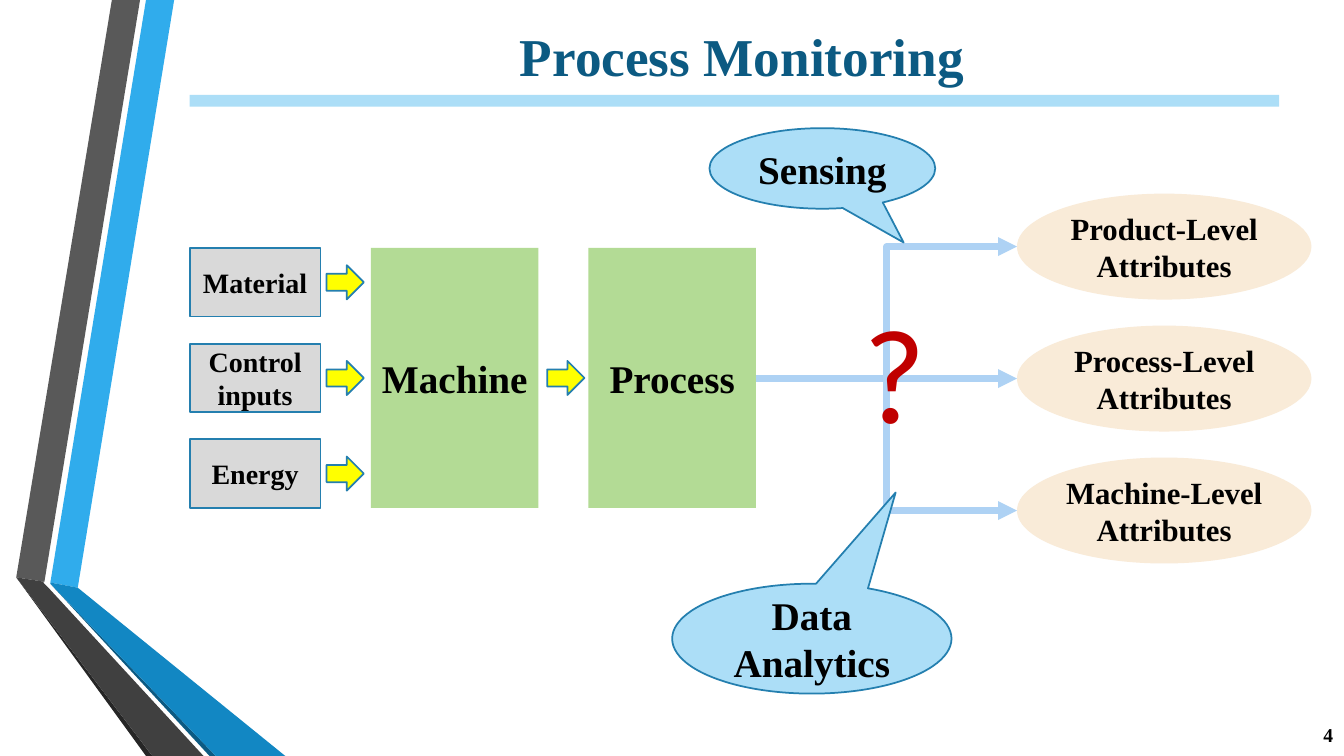
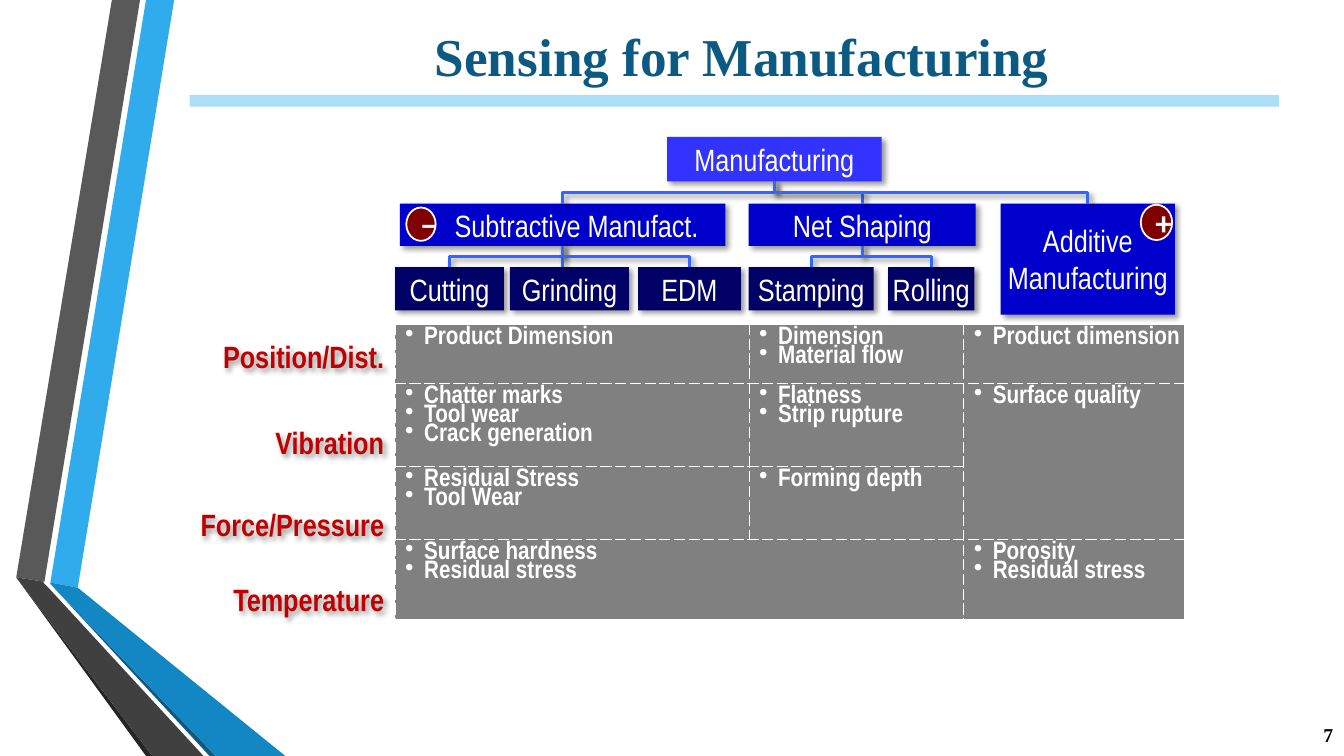
from lxml import etree
from pptx import Presentation
from pptx.dml.color import RGBColor
from pptx.enum.shapes import MSO_CONNECTOR, MSO_SHAPE
from pptx.enum.text import MSO_ANCHOR, PP_ALIGN
from pptx.oxml.ns import qn
from pptx.util import Cm, Pt

RECT, OVAL = MSO_SHAPE.RECTANGLE, MSO_SHAPE.OVAL
ARROW, CALLOUT = MSO_SHAPE.RIGHT_ARROW, MSO_SHAPE.OVAL_CALLOUT
ELBOW, STRAIGHT = MSO_CONNECTOR.ELBOW, MSO_CONNECTOR.STRAIGHT
LEFT, CENTER, RIGHT = PP_ALIGN.LEFT, PP_ALIGN.CENTER, PP_ALIGN.RIGHT
TOP, MIDDLE = MSO_ANCHOR.TOP, MSO_ANCHOR.MIDDLE

SERIF, NARROW, SANS = "Times New Roman", "Arial Narrow", "Calibri"
COLORS = {
    "title": "0C5A82", "rule": "ACDEF7", "outline": "247FAF",
    "sky": "30ACEC", "ocean": "1287C3", "ash": "595959",
    "coal": "404040", "soot": "262626",
    "black": "000000", "white": "FFFFFF", "red": "C00000",
    "input": "D9D9D9", "stage": "B3DB95", "arrow": "FFFF00",
    "outcome": "F9EBD8", "flow": "AED2F4",
    "root": "3333FF", "branch": "0000CC", "leaf": "000066",
    "tree_line": "3366FF", "badge": "800000", "cell": "808080",
}
RIBBONS = [
    ("sky", [(1.27, 14.68), (1.96, 14.81), (4.39, 0), (3.68, 0)]),
    ("ash", [(3.53, 0), (2.82, 0), (0.41, 14.55), (1.12, 14.66)]),
    ("soot", [(0.41, 14.55), (3.68, 19.05), (3.84, 19.05)]),
    ("title", [(1.27, 14.71), (5.28, 19.05), (5.44, 19.05)]),
    ("ocean", [(1.27, 14.68), (1.27, 14.71), (5.44, 19.05),
               (7.19, 19.05), (1.96, 14.81)]),
    ("coal", [(5.13, 19.05), (1.22, 14.81), (1.09, 14.68),
              (1.12, 14.66), (0.41, 14.55), (3.84, 19.05)]),
]


def rgb(name):
    return RGBColor.from_string(COLORS[name])


def cm(*values):
    return [Cm(v) for v in values]


def write(tf, text, size=22, font=SERIF, color="black", bold=True,
          align=CENTER, anchor=MIDDLE, ins=(0.25, 0.25)):
    tf.word_wrap = True
    tf.vertical_anchor = anchor
    tf.margin_left, tf.margin_right = cm(*ins)
    tf.margin_top = tf.margin_bottom = Cm(0.13)
    p = tf.paragraphs[0]
    p.alignment = align
    add_run(p, text, size, font, color, bold)


def add_run(p, text, size, font, color, bold):
    r = p.add_run()
    r.text = text
    r.font.size = Pt(size)
    r.font.name = font
    r.font.bold = bold
    r.font.color.rgb = rgb(color)


def set_effects(sp, shadow=False):
    effects = etree.SubElement(sp.element.spPr, qn("a:effectLst"))
    if shadow:
        outer = etree.SubElement(effects, qn("a:outerShdw"), blurRad="50800",
                                 dist="38100", dir="2700000", algn="tl",
                                 rotWithShape="0")
        black = etree.SubElement(outer, qn("a:srgbClr"), val=COLORS["black"])
        etree.SubElement(black, qn("a:alpha"), val="40000")


def paint(sp, fill, line=None, shadow=False):
    sp.fill.solid()
    sp.fill.fore_color.rgb = rgb(fill)
    if line:
        sp.line.color.rgb = rgb(line)
        sp.line.width = Pt(1.25)
    else:
        sp.line.fill.background()
    set_effects(sp, shadow)


def add_box(s, kind, box, fill, line=None, shadow=False, text=None, **fmt):
    sp = s.shapes.add_shape(kind, *cm(*box))
    paint(sp, fill, line, shadow)
    if text:
        write(sp.text_frame, text, **fmt)
    return sp


def add_label(s, box, text, shadow=False, **fmt):
    sp = s.shapes.add_textbox(*cm(*box))
    if shadow:
        set_effects(sp, shadow)
    write(sp.text_frame, text, **fmt)


def add_line(s, kind, ends, color, width, shadow=False, head=False):
    c = s.shapes.add_connector(kind, *cm(*ends))
    c.line.color.rgb = rgb(color)
    c.line.width = Pt(width)
    if head:
        etree.SubElement(c.element.spPr.find(qn("a:ln")), qn("a:tailEnd"),
                         type="triangle")
    set_effects(c, shadow)
    return c


def add_drop(s, x1, y1, x2, y2):
    style = dict(color="tree_line", width=2.25, shadow=True)
    if abs(x2 - x1) < 0.3:
        add_line(s, STRAIGHT, (x1, y1, x1, y2), **style)
        return
    side = 1 if x2 < x1 else -1
    mx, my = (x1 + x2) / 2, (y1 + y2) / 2
    dx, dy = side * (y2 - y1) / 2, abs(x2 - x1) / 2
    c = add_line(s, ELBOW, (mx - dx, my - dy, mx + dx, my + dy), **style)
    turn = 90 if side == 1 else 270
    c.element.spPr.find(qn("a:xfrm")).set("rot", str(turn * 60000))


def decorate_layout(layout, s):
    parts = []
    for color, points in RIBBONS:
        points = [cm(*point) for point in points]
        builder = s.shapes.build_freeform(*points[0])
        builder.add_line_segments(points[1:], close=True)
        sp = builder.convert_to_shape()
        paint(sp, color)
        parts.append(sp)
    parts.append(add_box(s, RECT, (4.78, 2.39, 27.46, 0.3), "rule"))
    for i, sp in enumerate(parts):
        layout.element.cSld.spTree.insert(2 + i, sp.element)


def add_heading(s, title, number):
    sp = s.shapes.title
    sp.left, sp.top, sp.width, sp.height = cm(4.78, 0.53, 27.84, 1.73)
    write(sp.text_frame, title, size=38, color="title")
    add_label(s, (32.33, 18.01, 1.52, 1.02), number, size=14, align=RIGHT)


def add_stages(s, x, y, w, h):
    in_w, in_h, stage_w = 3.3, 1.73, 4.22
    arrow_w, arrow_h = 0.94, 0.86
    inputs = ["Material", "Control inputs", "Energy"]
    pitch = (h - in_h) / (len(inputs) - 1)
    arrows = [(x + 9.01, y + h / 2)]
    for i, text in enumerate(inputs):
        top = y + i * pitch
        add_box(s, RECT, (x, top, in_w, in_h), "input", "outline",
                text=text, size=20)
        arrows.append((x + 3.45, top + in_h / 2))
    for left, text in [(x + 4.57, "Machine"), (x + w - stage_w, "Process")]:
        add_box(s, RECT, (left, y, stage_w, h), "stage", text=text, size=28,
                ins=(0, 0))
    for left, mid in arrows:
        add_box(s, ARROW, (left, mid - arrow_h / 2, arrow_w, arrow_h),
                "arrow", "outline")


def add_outcomes(s, x, y, w, h):
    oval_w, oval_h = 7.42, 2.67
    levels = ["Product", "Process", "Machine"]
    pitch = (h - oval_h) / (len(levels) - 1)
    left, start = x + w - oval_w, y + h / 2
    for i, level in enumerate(levels):
        top = y + i * pitch
        add_box(s, OVAL, (left, top, oval_w, oval_h), "outcome",
                text=f"{level}-Level Attributes", ins=(0, 0))
        kind = STRAIGHT if i == 1 else ELBOW
        add_line(s, kind, (x, start, left, top + oval_h / 2), "flow", 4.5,
                 head=True)
    add_label(s, (x + 2.46, y + 2.28, 6.27, 4.37), "?", size=96, font=SANS,
              color="red", bold=False, align=LEFT, anchor=TOP)


def add_callout(s, box, text, tip):
    sp = add_box(s, CALLOUT, box, "rule", "outline", text=text, size=28)
    for i, value in enumerate(tip):
        sp.adjustments[i] = value


def add_tree(s, x, y):
    nodes = [
        ("Manufacturing", None, "root", 6.85, 0, 5.41, 1.12),
        ("Subtractive Manufact.", "Manufacturing", "branch", 0.12, 1.68, 8.2, 1.07),
        ("Net Shaping", "Manufacturing", "branch", 8.91, 1.68, 5.72, 1.07),
        ("Additive Manufacturing", "Manufacturing", "branch", 15.26, 1.68, 4.39, 2.8),
        ("Cutting", "Subtractive Manufact.", "leaf", 0, 3.28, 2.74, 1.09),
        ("Grinding", "Subtractive Manufact.", "leaf", 2.89, 3.28, 3, 1.09),
        ("EDM", "Subtractive Manufact.", "leaf", 6.12, 3.28, 2.59, 1.09),
        ("Stamping", "Net Shaping", "leaf", 8.91, 3.28, 3.15, 1.09),
        ("Rolling", "Net Shaping", "leaf", 12.42, 3.28, 2.18, 1.09),
    ]
    bottoms = {}
    for text, parent, fill, dx, dy, w, h in nodes:
        left, top = x + dx, y + dy
        pad = 0.7 if text.startswith("Subtractive") else 0
        add_box(s, RECT, (left, top, w, h), fill, shadow=True, text=text,
                font=NARROW, color="white", bold=False, ins=(pad, 0))
        bottoms[text] = (left + w / 2, top + h)
        if parent:
            add_drop(s, *bottoms[parent], left + w / 2, top)
    for sign, dx, dy, w, h in [("−", 0.28, 1.78, 0.74, 0.84),
                               ("+", 18.79, 1.71, 0.79, 0.89)]:
        add_box(s, OVAL, (x + dx, y + dy, w, h), "badge", "white", text=sign,
                size=24, font=SANS, color="white")


def fill_cell(cell, lines):
    cell.fill.solid()
    cell.fill.fore_color.rgb = rgb("cell")
    cell.margin_left, cell.margin_right = cm(0.25, 0)
    cell.margin_top = cell.margin_bottom = Cm(0.13)
    tf = cell.text_frame
    for i, text in enumerate(lines):
        p = tf.paragraphs[0] if i == 0 else tf.add_paragraph()
        pPr = p._p.get_or_add_pPr()
        pPr.set("marL", str(Cm(0.48)))
        pPr.set("indent", str(-Cm(0.48)))
        etree.SubElement(pPr, qn("a:buChar"), char="•")
        p.line_spacing = 0.8
        add_run(p, text, 18, NARROW, "white", True)
    tcPr = cell._tc.get_or_add_tcPr()
    for i, side in enumerate(["lnL", "lnR", "lnT", "lnB"]):
        ln = etree.Element(qn(f"a:{side}"), w=str(Pt(1)))
        solid = etree.SubElement(ln, qn("a:solidFill"))
        etree.SubElement(solid, qn("a:srgbClr"), val=COLORS["white"])
        etree.SubElement(ln, qn("a:prstDash"), val="sysDash")
        tcPr.insert(i, ln)


def add_signals(s, x, y):
    widths, heights = [8.92, 5.41, 5.56], [1.45, 2.05, 1.84, 2.01]
    rows = [
        [["Product Dimension"], ["Dimension", "Material flow"],
         ["Product dimension"]],
        [["Chatter marks", "Tool wear", "Crack generation"],
         ["Flatness", "Strip rupture"], ["Surface quality"]],
        [["Residual Stress", "Tool Wear"], ["Forming depth"], []],
        [["Surface hardness", "Residual stress"], [],
         ["Porosity", "Residual stress"]],
    ]
    table = s.shapes.add_table(len(rows), len(widths),
                               *cm(x, y, sum(widths), sum(heights))).table
    table.first_row = table.horz_banding = False
    for column, width in zip(table.columns, widths):
        column.width = Cm(width)
    for i, row in enumerate(rows):
        table.rows[i].height = Cm(heights[i])
        for j, lines in enumerate(row):
            fill_cell(table.cell(i, j), lines)
    table.cell(1, 2).merge(table.cell(2, 2))
    table.cell(3, 0).merge(table.cell(3, 1))


def add_row_labels(s, x, y, w):
    for dy, text in [(0, "Position/Dist."), (2.16, "Vibration"),
                     (4.24, "Force/Pressure"), (6.12, "Temperature")]:
        add_label(s, (x, y + dy, w, 1.14), text, shadow=True, font=NARROW,
                  color="red", align=RIGHT, ins=(0, 0))


def build_monitoring(s):
    add_heading(s, "Process Monitoring", "4")
    add_stages(s, 4.78, 6.25, 14.27, 6.55)
    add_outcomes(s, 19.05, 4.88, 14, 9.32)
    add_callout(s, (17.88, 3.23, 5.69, 2.03), "Sensing", (0.36, 0.92))
    add_callout(s, (16.94, 14.71, 7.04, 2.77), "Data Analytics", (0.3, -1.33))


def build_sensing(s):
    add_heading(s, "Sensing for Manufacturing", "7")
    add_signals(s, 9.96, 8.18)
    add_tree(s, 9.96, 3.45)
    add_row_labels(s, 4.78, 8.41, 4.9)


def main():
    prs = Presentation()
    prs.slide_width, prs.slide_height = cm(33.87, 19.05)
    layout = prs.slide_layouts[5]
    for i, build in enumerate([build_monitoring, build_sensing]):
        s = prs.slides.add_slide(layout)
        if i == 0:
            decorate_layout(layout, s)
        build(s)
    prs.save("out.pptx")


if __name__ == "__main__":
    main()
